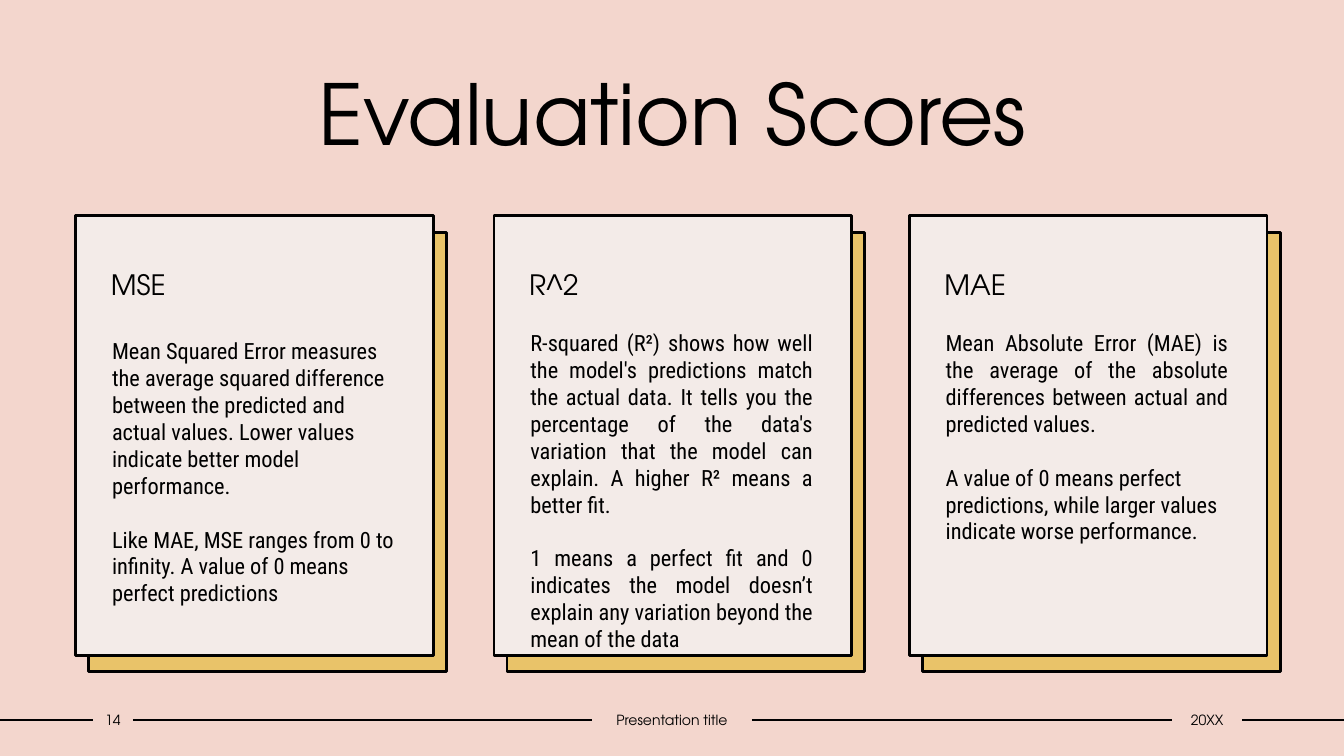
from itertools import pairwise

from lxml import etree
from pptx import Presentation
from pptx.dml.color import RGBColor
from pptx.enum.shapes import MSO_CONNECTOR, MSO_SHAPE
from pptx.enum.text import MSO_ANCHOR, MSO_AUTO_SIZE, PP_ALIGN
from pptx.oxml.ns import qn
from pptx.util import Pt

PINK = RGBColor(0xF3, 0xD6, 0xCD)
GOLD = RGBColor(0xE9, 0xC3, 0x69)
CREAM = RGBColor(0xF3, 0xEB, 0xE8)
BLACK = RGBColor(0, 0, 0)

HEADING_FONT = "TeX Gyre Adventor"
BODY_FONT = "Roboto Condensed"

RECTANGLE = MSO_SHAPE.RECTANGLE
STRAIGHT = MSO_CONNECTOR.STRAIGHT
TOP, MIDDLE = MSO_ANCHOR.TOP, MSO_ANCHOR.MIDDLE
NO_AUTOFIT = MSO_AUTO_SIZE.NONE
LEFT, CENTER, JUSTIFY = PP_ALIGN.LEFT, PP_ALIGN.CENTER, PP_ALIGN.JUSTIFY
LEFT_SIDE, RIGHT_SIDE = 1, 3

SLIDE_WIDTH, SLIDE_HEIGHT = 960, 540
CARD_TOP, CARD_WIDTH, CARD_HEIGHT = 154.1, 255.6, 313.9
BACKING_SHIFT_X, BACKING_SHIFT_Y = 9.4, 11.8
FOOTER_TOP, FOOTER_HEIGHT = 504.2, 20

# Card: left edge, heading, top of the text, (alignment, paragraph) pairs
CARDS = [
    (54, "MSE", 237.6, [
        (LEFT, "Mean Squared Error measures the average squared difference "
               "between the predicted and actual values. Lower values "
               "indicate better model performance."),
        (LEFT, "Like MAE, MSE ranges from 0 to infinity. A value of 0 means "
               "perfect predictions"),
    ]),
    (352.8, "R^2", 231.8, [
        (JUSTIFY, "R-squared (R²) shows how well the model's predictions "
                  "match the actual data. It tells you the percentage of the "
                  "data's variation that the model can explain. A higher R² "
                  "means a better fit."),
        (JUSTIFY, "1 means a perfect fit and 0 indicates the model doesn’t "
                  "explain any variation beyond the mean of the data"),
    ]),
    (649.4, "MAE", 231.8, [
        (JUSTIFY, "Mean Absolute Error (MAE) is the average of the absolute "
                  "differences between actual and predicted values."),
        (LEFT, "A value of 0 means perfect predictions, while larger values "
               "indicate worse performance."),
    ]),
]

# Footer label: text, left edge, width
FOOTER = [("14", 66.2, 28.8), ("Presentation title", 423, 114),
          ("20XX", 837, 50.5)]


def style(paragraph, font_name, size, alignment):
    paragraph.alignment = alignment
    font = paragraph.font
    font.name, font.size, font.color.rgb = font_name, Pt(size), BLACK


def set_frame(frame, anchor, left=7.2, top=3.6, right=7.2):
    frame.word_wrap = True
    frame.auto_size = NO_AUTOFIT
    frame.vertical_anchor = anchor
    frame.margin_left, frame.margin_right = Pt(left), Pt(right)
    frame.margin_top, frame.margin_bottom = Pt(top), Pt(3.6)


def add_title(slide, text):
    title = slide.shapes.title
    title.left, title.top = Pt(90), Pt(40.3)
    title.width, title.height = Pt(780.5), Pt(79.9)
    title.text_frame.text = text
    set_frame(title.text_frame, MIDDLE)
    style(title.text_frame.paragraphs[0], HEADING_FONT, 60, CENTER)


def add_panel(slide, left, top, fill):
    panel = slide.shapes.add_shape(
        RECTANGLE, Pt(left), Pt(top), Pt(CARD_WIDTH), Pt(CARD_HEIGHT))
    panel.shadow.inherit = False
    panel.fill.solid()
    panel.fill.fore_color.rgb = fill
    panel.line.color.rgb = BLACK
    panel.line.width = Pt(2)
    return panel


def add_card(slide, left, heading, text_top, paragraphs):
    add_panel(slide, left + BACKING_SHIFT_X, CARD_TOP + BACKING_SHIFT_Y, GOLD)
    card = add_panel(slide, left, CARD_TOP, CREAM)

    # Heading inside the card
    card.text_frame.text = heading
    set_frame(card.text_frame, TOP, left=25.2, top=39.6)
    heading_line = card.text_frame.paragraphs[0]
    style(heading_line, HEADING_FONT, 20, LEFT)
    heading_line.line_spacing = 0.9
    heading_line.space_before = Pt(10)

    # Explanation
    explanation = slide.shapes.add_textbox(
        Pt(left + 19), Pt(text_top), Pt(216), Pt(219.6)).text_frame
    set_frame(explanation, TOP)
    explanation.text = "\n".join(text for _, text in paragraphs)
    for paragraph, (alignment, _) in zip(explanation.paragraphs, paragraphs):
        style(paragraph, BODY_FONT, 16, alignment)
    explanation.paragraphs[-1].space_before = Pt(19.2)


def add_footer_label(slide, text, left, width):
    label = slide.shapes.add_textbox(
        Pt(left), Pt(FOOTER_TOP), Pt(width), Pt(FOOTER_HEIGHT))
    label.text_frame.text = text
    set_frame(label.text_frame, MIDDLE, left=0, right=0)
    style(label.text_frame.paragraphs[0], HEADING_FONT, 10, CENTER)
    return label


def add_footer_rule(slide, before, after):
    """Run a rule between two labels, or to the slide edge where one is None."""
    y = Pt(FOOTER_TOP + FOOTER_HEIGHT / 2)
    rule = slide.shapes.add_connector(STRAIGHT, 0, y, Pt(SLIDE_WIDTH), y)
    if before is not None:
        rule.begin_connect(before, RIGHT_SIDE)
    if after is not None:
        rule.end_connect(after, LEFT_SIDE)
    rule.line.color.rgb = BLACK
    rule.line.width = Pt(1)
    etree.SubElement(rule._element.spPr, qn("a:effectLst"))


def main():
    prs = Presentation()
    prs.slide_width, prs.slide_height = Pt(SLIDE_WIDTH), Pt(SLIDE_HEIGHT)
    slide = prs.slides.add_slide(prs.slide_layouts.get_by_name("Title Only"))
    slide.background.fill.solid()
    slide.background.fill.fore_color.rgb = PINK

    add_title(slide, "Evaluation Scores")
    for card in CARDS:
        add_card(slide, *card)

    # Footer labels with rules between them
    labels = [add_footer_label(slide, *entry) for entry in FOOTER]
    for before, after in pairwise([None, *labels, None]):
        add_footer_rule(slide, before, after)

    prs.save("out.pptx")


if __name__ == "__main__":
    main()
